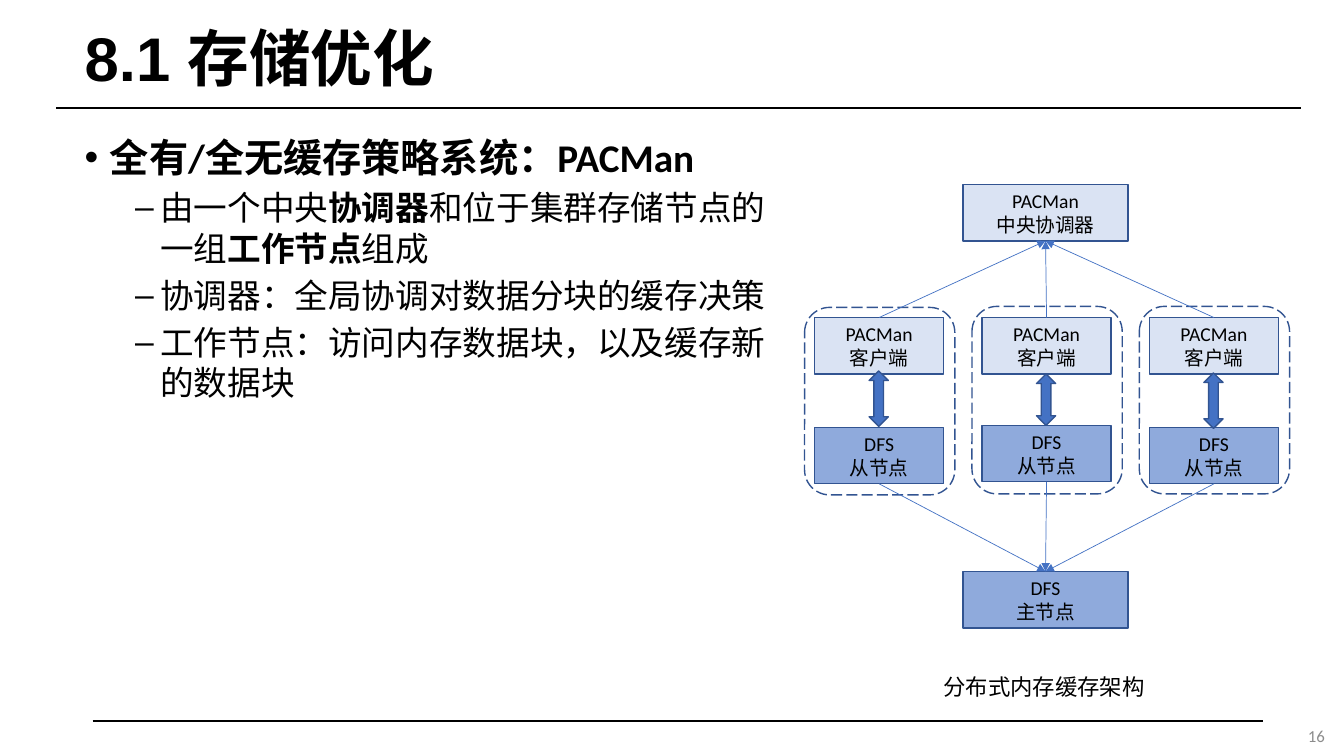
from lxml import etree
from pptx import Presentation
from pptx.dml.color import RGBColor
from pptx.enum.dml import MSO_LINE
from pptx.enum.shapes import MSO_CONNECTOR, MSO_SHAPE
from pptx.enum.text import MSO_ANCHOR, MSO_AUTO_SIZE, PP_ALIGN
from pptx.oxml.ns import qn
from pptx.util import Inches, Pt

BLACK = RGBColor(0x00, 0x00, 0x00)
GRAY = RGBColor(0x8C, 0x8C, 0x8C)
PALE_BLUE = RGBColor(0xDA, 0xE3, 0xF3)
MID_BLUE = RGBColor(0x8F, 0xAA, 0xDC)
BLUE = RGBColor(0x44, 0x72, 0xC4)
OUTLINE = RGBColor(0x32, 0x54, 0x91)

RECTANGLE = MSO_SHAPE.RECTANGLE
ROUNDED = MSO_SHAPE.ROUNDED_RECTANGLE
UP_DOWN_ARROW = MSO_SHAPE.UP_DOWN_ARROW
STRAIGHT = MSO_CONNECTOR.STRAIGHT
LONG_DASH = MSO_LINE.LONG_DASH
LEFT, CENTER, RIGHT = PP_ALIGN.LEFT, PP_ALIGN.CENTER, PP_ALIGN.RIGHT
TOP, MIDDLE = MSO_ANCHOR.TOP, MSO_ANCHOR.MIDDLE
NO_AUTOFIT = MSO_AUTO_SIZE.NONE
TOP_SIDE, BOTTOM_SIDE = 0, 2

COLUMN_LEFT, COLUMN_STEP = 8.08, 1.66
NODE_WIDTH, NODE_HEIGHT = 1.28, 0.56
HUB_LEFT, HUB_WIDTH = 9.55, 1.64
CLIENT_TOP = 3.15
# Per column: top of the DFS node, top and height of the arrow, top of the frame
COLUMNS = [(4.24, 3.68, 0.55, 3.05), (4.22, 3.71, 0.51, 3.04), (4.24, 3.70, 0.55, 3.04)]


def write_text(paragraph, text, size=14, font="Calibri", color=BLACK, bold=False, align=None):
    """Add a run; text between ** marks is bold."""
    if align is not None:
        paragraph.alignment = align
    for index, part in enumerate(text.split("**")):
        if part:
            run = paragraph.add_run()
            run.text = part
            run.font.name = font
            run.font.size = Pt(size)
            run.font.bold = bold or index % 2 == 1
            run.font.color.rgb = color


def set_bullet(paragraph, character, indent):
    properties = paragraph._p.get_or_add_pPr()
    properties.set("marL", str(Inches(indent)))
    properties.set("indent", str(Inches(-0.25)))
    etree.SubElement(properties, qn("a:buFont")).set("typeface", "Arial")
    etree.SubElement(properties, qn("a:buChar")).set("char", character)


class SlideBuilder:
    """Holds the current slide and draws its elements in one style."""

    def __init__(self, slide):
        self.slide = slide
        self.shapes = slide.shapes

    def place(self, shape, left, top, width, height, anchor):
        shape.left, shape.top = Inches(left), Inches(top)
        shape.width, shape.height = Inches(width), Inches(height)
        frame = shape.text_frame
        frame.word_wrap = True
        frame.auto_size = NO_AUTOFIT
        frame.vertical_anchor = anchor
        return frame

    def title(self, text):
        frame = self.place(self.shapes.title, 0.74, 0.15, 11.95, 0.92, MIDDLE)
        paragraph = frame.paragraphs[0]
        paragraph.line_spacing = 0.9
        write_text(paragraph, text, size=44, font="Arial", bold=True, align=LEFT)

    def body(self, heading, items):
        frame = self.place(self.slide.placeholders[1], 0.74, 1.27, 7.22, 5.49, TOP)
        paragraph = frame.paragraphs[0]
        paragraph.space_before = Pt(0)
        set_bullet(paragraph, "•", 0.25)
        write_text(paragraph, heading, size=28, bold=True)
        for item in items:
            paragraph = frame.add_paragraph()
            paragraph.level = 1
            paragraph.space_before = Pt(5)
            set_bullet(paragraph, "–", 0.75)
            write_text(paragraph, item, size=24)

    def label(self, text, left, top, width, height, anchor=TOP, wrap=True, **style):
        shape = self.shapes.add_textbox(0, 0, 0, 0)
        frame = self.place(shape, left, top, width, height, anchor)
        frame.word_wrap = wrap
        write_text(frame.paragraphs[0], text, **style)

    def shape(self, kind, left, top, width, height, fill=None, dash=None):
        shape = self.shapes.add_shape(
            kind, Inches(left), Inches(top), Inches(width), Inches(height))
        shape.shadow.inherit = False
        if fill is None:
            shape.fill.background()
        else:
            shape.fill.solid()
            shape.fill.fore_color.rgb = fill
        shape.line.color.rgb = OUTLINE
        shape.line.width = Pt(1)
        if dash is not None:
            shape.line.dash_style = dash
        return shape

    def node(self, lines, left, top, width, fill):
        shape = self.shape(RECTANGLE, left, top, width, NODE_HEIGHT, fill)
        frame = shape.text_frame
        frame.vertical_anchor = MIDDLE
        for index, line in enumerate(lines):
            paragraph = frame.add_paragraph() if index else frame.paragraphs[0]
            write_text(paragraph, line, align=CENTER)
        return shape

    def line(self, start, end, color, width):
        connector = self.shapes.add_connector(STRAIGHT, *map(Inches, start + end))
        connector.line.color.rgb = color
        connector.line.width = Pt(width)
        etree.SubElement(connector._element.spPr, qn("a:effectLst"))
        return connector

    def arrow(self, source, source_side, target, target_side):
        connector = self.line((0, 0), (0, 0), BLUE, 0.5)
        connector.begin_connect(source, source_side)
        connector.end_connect(target, target_side)
        outline = connector.line._get_or_add_ln()
        etree.SubElement(outline, qn("a:tailEnd")).set("type", "triangle")


def draw_architecture(builder):
    coordinator = builder.node(
        ["PACMan", "中央协调器"], HUB_LEFT, 1.83, HUB_WIDTH, PALE_BLUE)
    master = builder.node(["DFS", "主节点"], HUB_LEFT, 5.67, HUB_WIDTH, MID_BLUE)
    for index, (slave_top, arrow_top, arrow_height, frame_top) in enumerate(COLUMNS):
        left = COLUMN_LEFT + index * COLUMN_STEP
        client = builder.node(["PACMan", "客户端"], left, CLIENT_TOP, NODE_WIDTH, PALE_BLUE)
        slave = builder.node(["DFS", "从节点"], left, slave_top, NODE_WIDTH, MID_BLUE)
        builder.shape(UP_DOWN_ARROW, left + 0.54, arrow_top, 0.19, arrow_height, BLUE)
        builder.shape(ROUNDED, left - 0.1, frame_top, 1.49, 1.86, dash=LONG_DASH)
        builder.arrow(client, TOP_SIDE, coordinator, BOTTOM_SIDE)
        builder.arrow(slave, BOTTOM_SIDE, master, TOP_SIDE)


def main():
    presentation = Presentation()
    presentation.slide_width, presentation.slide_height = Inches(13.33), Inches(7.5)
    builder = SlideBuilder(presentation.slides.add_slide(presentation.slide_layouts[1]))
    builder.line((0.56, 1.07), (12.9, 1.07), BLACK, 1.75)
    builder.line((0.92, 7.15), (12.53, 7.15), BLACK, 1.25)
    builder.title("8.1 存储优化")
    builder.body("全有/全无缓存策略系统：PACMan", [
        "由一个中央**协调器**和位于集群存储节点的一组**工作节点**组成",
        "协调器：全局协调对数据分块的缓存决策",
        "工作节点：访问内存数据块，以及缓存新的数据块",
    ])
    draw_architecture(builder)
    builder.label("分布式内存缓存架构", 9.26, 6.63, 2.22, 0.37, wrap=False,
                  size=16, font="Noto Sans CJK SC")
    builder.label("16", 10.24, 7.1, 3, 0.4, anchor=MIDDLE,
                  size=12, color=GRAY, align=RIGHT)
    presentation.save("out.pptx")


if __name__ == "__main__":
    main()
